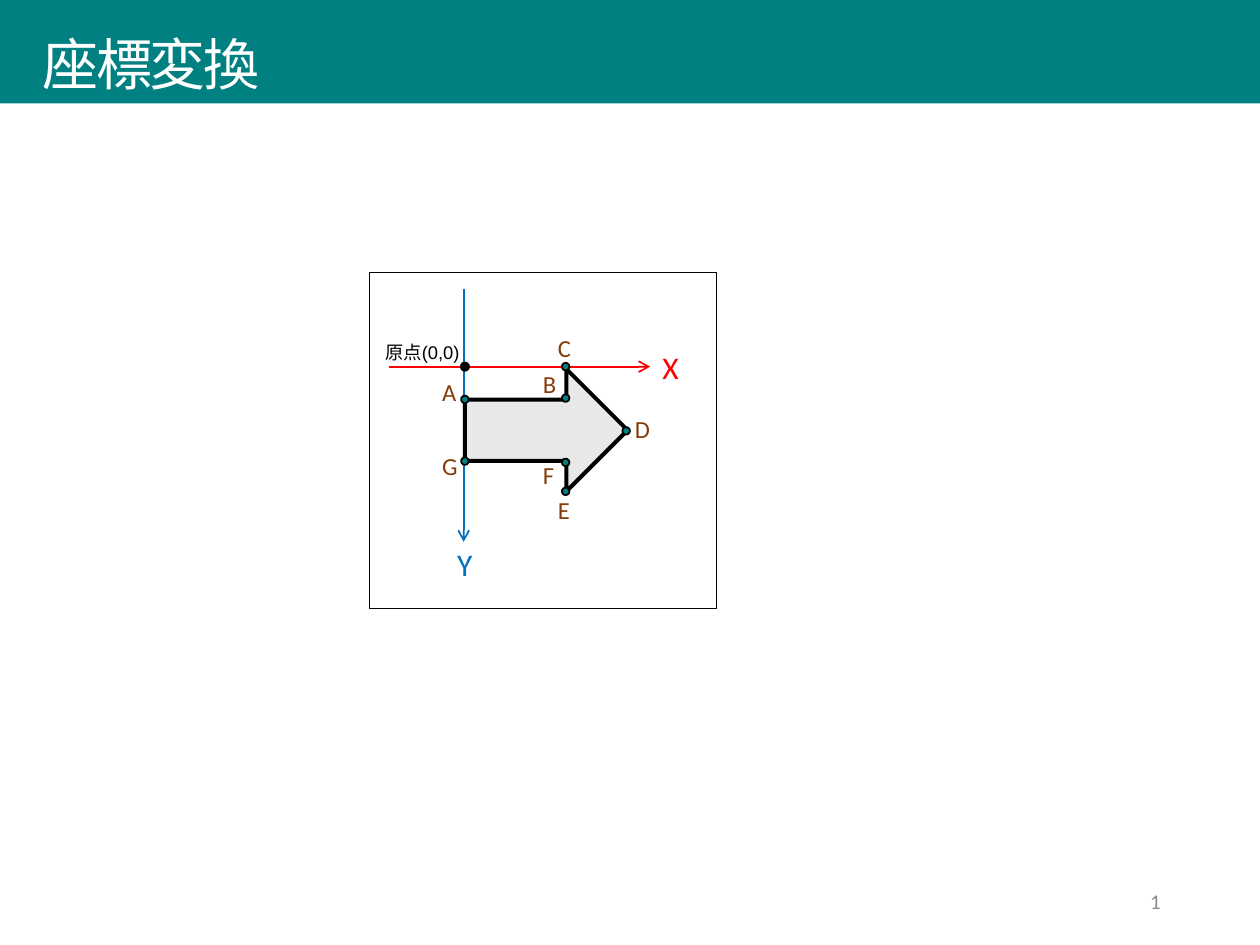
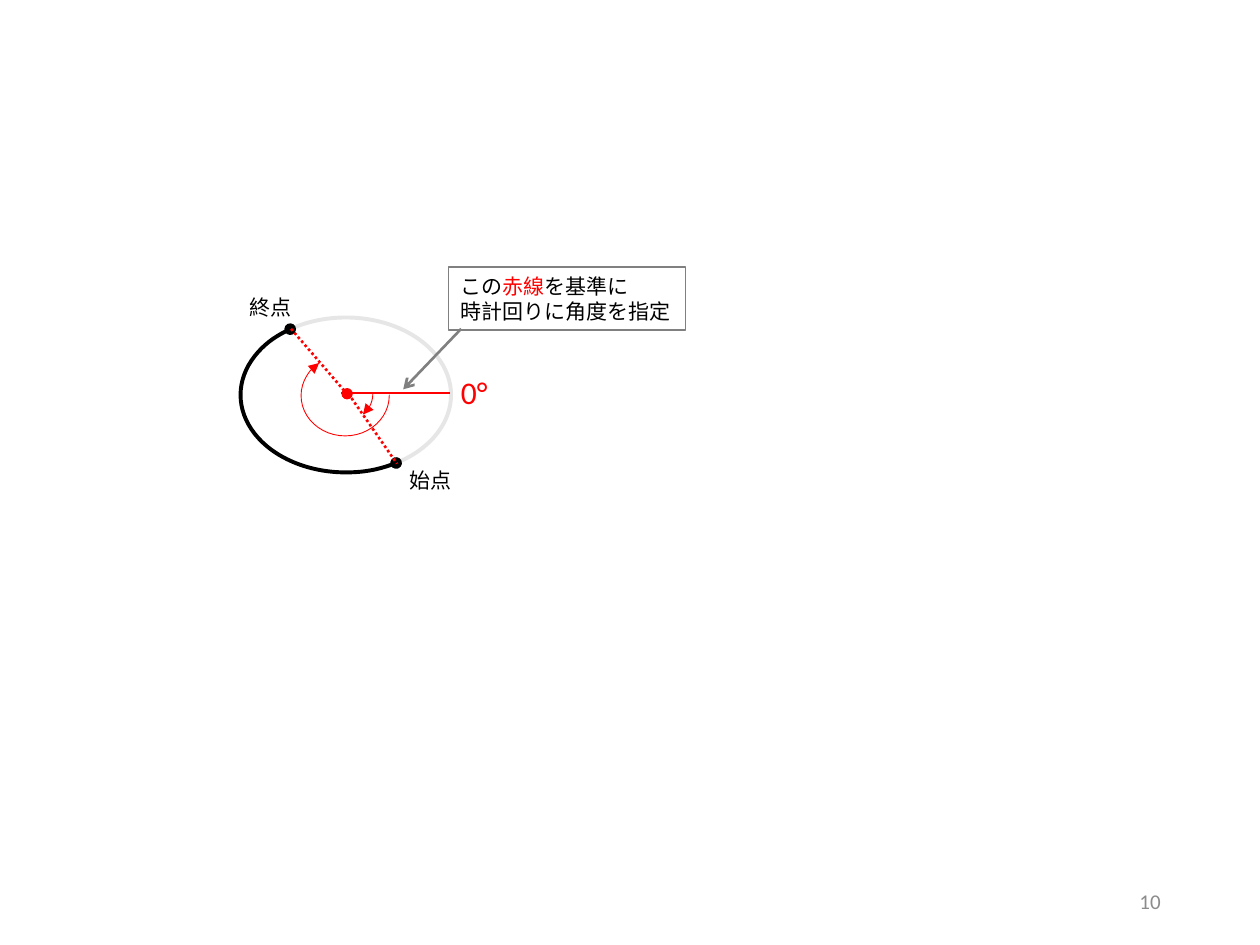
from lxml import etree
from pptx import Presentation
from pptx import util as u
from pptx.dml.color import RGBColor
from pptx.enum import dml, shapes, text
from pptx.oxml import ns

COLUMNS, ROWS = 100, 75
COLORS = {
    "teal": "008080", "white": "FFFFFF", "black": "000000", "red": "FF0000",
    "blue": "0070C0", "brown": "843C0B", "pale": "D9D9D9", "faint": "E7E6E6",
    "gray": "808080", "number": "8C8C8C",
}
JAPANESE = "Noto Sans CJK JP"
SHAPE = shapes.MSO_SHAPE
ALIGN = text.PP_ALIGN
ANCHOR = text.MSO_ANCHOR


def color(name):
    return RGBColor.from_string(COLORS[name])


def add_xml(parent, tag, **attributes):
    return etree.SubElement(parent, ns.qn(tag), attributes)


def write(shape, content, size=12, ink="black", font="Calibri", align=ALIGN.LEFT,
          anchor=ANCHOR.TOP, wrap=False, indent=0, line_spacing=None, tracking=None):
    frame = shape.text_frame
    frame.word_wrap = wrap
    frame.vertical_anchor = anchor
    frame.margin_left = u.Inches(0.1 + indent)
    lines = [[(content, ink)]] if isinstance(content, str) else content
    for index, line in enumerate(lines):
        paragraph = frame.add_paragraph() if index else frame.paragraphs[0]
        paragraph.alignment = align
        paragraph.line_spacing = line_spacing
        for words, run_ink in line:
            run = paragraph.add_run()
            run.text = words
            run.font.size = u.Pt(size)
            run.font.name = font
            run.font.color.rgb = color(run_ink)
            properties = run.font._element
            add_xml(properties, "a:ea", typeface=JAPANESE)
            if tracking:
                properties.set("spc", str(int(tracking * 100)))


class Canvas:
    def __init__(self):
        self.presentation = Presentation()
        self.presentation.slide_width = u.Inches(10)
        self.presentation.slide_height = u.Inches(7.5)
        self.column = self.presentation.slide_width / COLUMNS
        self.row = self.presentation.slide_height / ROWS
        self.slide = None

    def grid(self, *lengths):
        return [int(length * (self.row if index % 2 else self.column))
                for index, length in enumerate(lengths)]

    def new_slide(self, number):
        self.slide = self.presentation.slides.add_slide(self.presentation.slide_layouts[6])
        self.label(number, 70.6, 69.5, 22.5, 4, ink="number", align=ALIGN.RIGHT,
                   anchor=ANCHOR.MIDDLE, wrap=True)

    def outline(self, line, ink, width, head=None, tail=None):
        line.color.rgb = color(ink)
        line.width = u.Pt(width)
        for tag, kind in (("a:headEnd", head), ("a:tailEnd", tail)):
            if kind:
                add_xml(line._get_or_add_ln(), tag, type=kind)

    def shape(self, kind, left, top, width, height, fill=None, opacity=None,
              line=None, line_width=1, **ends):
        shape = self.slide.shapes.add_shape(kind, *self.grid(left, top, width, height))
        shape.shadow.inherit = False
        if fill:
            shape.fill.solid()
            shape.fill.fore_color.rgb = color(fill)
            if opacity:
                rgb = shape.fill._xPr.find(".//" + ns.qn("a:srgbClr"))
                add_xml(rgb, "a:alpha", val=str(opacity * 1000))
        else:
            shape.fill.background()
        if line:
            self.outline(shape.line, line, line_width, **ends)
        else:
            shape.line.fill.background()
        return shape

    def dot(self, x, y, diameter, fill, **style):
        radius = diameter / 2
        self.shape(SHAPE.OVAL, x - radius, y - radius, diameter, diameter, fill, **style)

    def arc(self, box, start, end, line, line_width, **ends):
        arc = self.shape(SHAPE.ARC, *box, line=line, line_width=line_width, **ends)
        for index, degrees in enumerate((start, end)):
            arc.adjustments[index] = degrees * 0.6

    def line(self, begin, end, ink, width=1, dash=None, tail=None):
        connector = self.slide.shapes.add_connector(
            shapes.MSO_CONNECTOR.STRAIGHT, *self.grid(*begin, *end))
        if dash:
            connector.line.dash_style = dash
        self.outline(connector.line, ink, width, tail=tail)
        add_xml(connector._element.spPr, "a:effectLst")

    def label(self, content, left, top, width, height, **style):
        box = self.slide.shapes.add_textbox(*self.grid(left, top, width, height))
        write(box, content, **style)

    def title(self, content):
        band = self.shape(SHAPE.RECTANGLE, 0, 0, COLUMNS, 8.2, "teal")
        write(band, content, size=32, ink="white", font=JAPANESE, anchor=ANCHOR.BOTTOM,
              wrap=True, indent=0.24, line_spacing=0.9, tracking=-1.5)


def coordinate_slide(canvas):
    canvas.new_slide("1")
    canvas.title("座標変換")
    origin_x, origin_y = 36.8, 29.1
    canvas.line((30.9, origin_y), (51.6, origin_y), "red", tail="arrow")
    canvas.line((origin_x, 22.9), (origin_x, 43), "blue", tail="arrow")
    canvas.label("X", 51.6, 27.1, 3.3, 4, size=18, ink="red")
    canvas.label("Y", 35.3, 42.8, 3.2, 4, size=18, ink="blue")
    canvas.label("原点(0,0)", 29.6, 26.6, 10.1, 2.9, size=10.5, font="Arial", wrap=True)
    canvas.shape(SHAPE.RIGHT_ARROW, 36.9, 29.3, 12.9, 9.7, "pale", opacity=60,
                 line="black", line_width=2.25)
    canvas.dot(origin_x + 0.1, origin_y, 0.8, "black")
    vertices = {
        "A": ((36.9, 31.7), (34.1, 29.4)),
        "B": ((44.9, 31.6), (42.1, 28.8)),
        "C": ((44.9, 29.1), (43.3, 25.9)),
        "D": ((49.7, 34.2), (49.4, 32.4)),
        "E": ((44.9, 39), (43.3, 38.8)),
        "F": ((44.9, 36.7), (42.1, 36)),
        "G": ((36.9, 36.6), (34.1, 35.3)),
    }
    for letter, (point, corner) in vertices.items():
        canvas.dot(*point, 0.6, "teal", line="black")
        canvas.label(letter, *corner, 3.2, 3.4, size=14, ink="brown")
    canvas.shape(SHAPE.RECTANGLE, 29.3, 21.6, 27.6, 26.7, line="black", line_width=0.5)


def arc_slide(canvas):
    canvas.new_slide("10")
    ellipse = (19.1, 25.2, 16.7, 12.3)
    dotted = dml.MSO_LINE.ROUND_DOT
    canvas.arc(ellipse, 223.6, 59, "faint", 2.25)
    canvas.dot(27.55, 31.25, 0.9, "red")
    canvas.line((27.1, 31.2), (35.7, 31.2), "red", 1.5)
    canvas.arc(ellipse, 53.5, 229.8, "black", 2.25, head="oval", tail="oval")
    canvas.label("0°", 35.6, 29.1, 6.2, 4, size=18, ink="red", wrap=True)
    canvas.arc((25.3, 29.1, 4.3, 4.3), 358.9, 50.7, "red", 0.5, tail="triangle")
    callout = canvas.shape(SHAPE.RECTANGLE, 35.6, 21.2, 18.8, 5, line="gray", line_width=0.75)
    write(callout, [
        [("この", "black"), ("赤線", "red"), ("を基準に", "black")],
        [("時計回りに角度を指定", "black")],
    ])
    canvas.line((27.9, 31.6), (31.5, 36.8), "red", 1.5, dash=dotted)
    canvas.arc((23.9, 28.2, 7, 6.4), 358.9, 231.3, "red", 0.5, tail="triangle")
    canvas.line((23.1, 26.1), (27.4, 31.1), "red", 1.5, dash=dotted)
    canvas.label("始点", 31.5, 36.6, 5.4, 3)
    canvas.label("終点", 18.8, 22.9, 5.4, 3)
    canvas.line((36.6, 26.1), (32, 30.9), "gray", 1.5, tail="arrow")


def main():
    canvas = Canvas()
    coordinate_slide(canvas)
    arc_slide(canvas)
    canvas.presentation.save("out.pptx")


if __name__ == "__main__":
    main()
